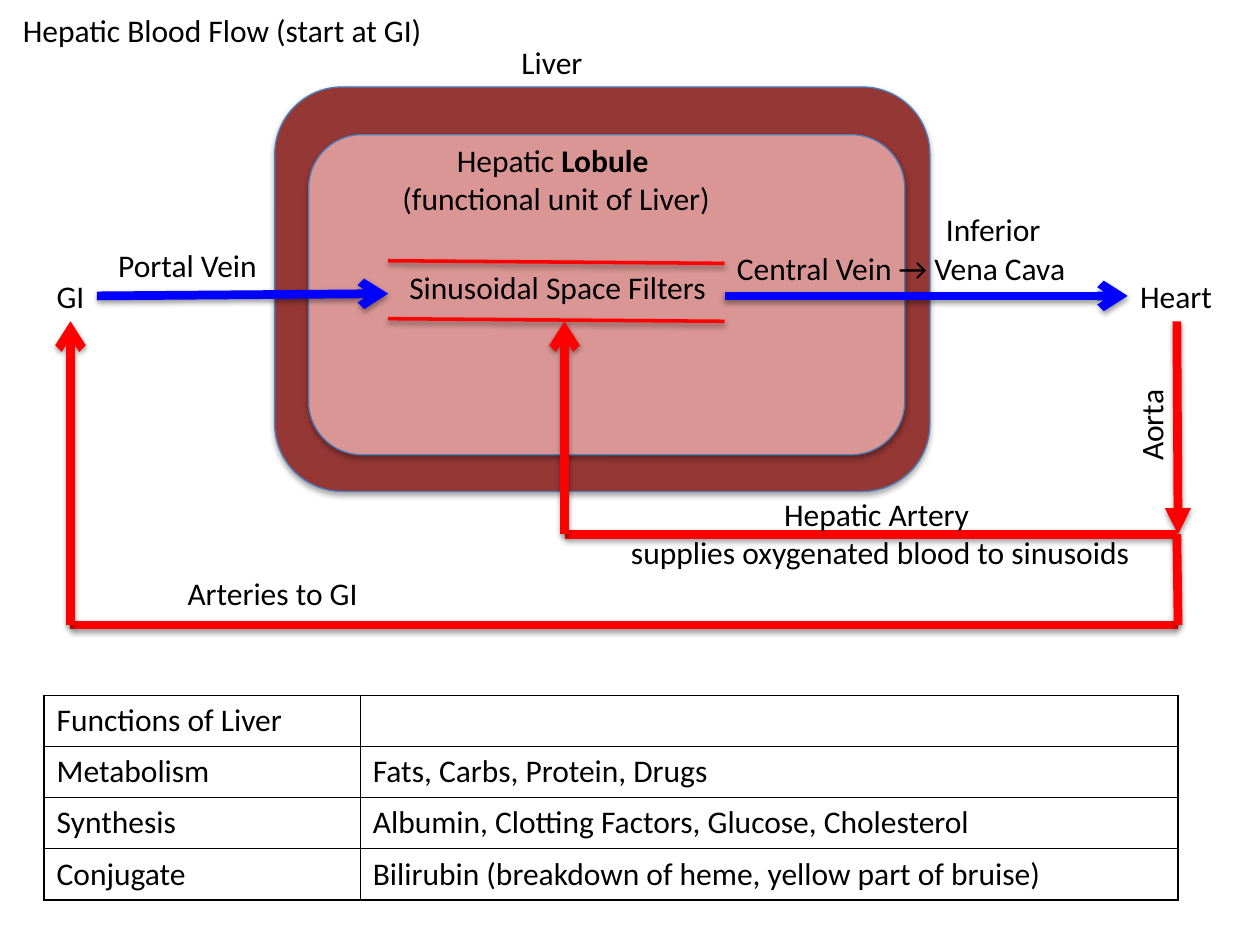
from dataclasses import dataclass

from lxml.etree import SubElement
from pptx import Presentation
from pptx.dml.color import RGBColor
from pptx.enum.shapes import MSO_CONNECTOR, MSO_SHAPE
from pptx.enum.text import MSO_ANCHOR, MSO_AUTO_SIZE, PP_ALIGN
from pptx.oxml.ns import qn
from pptx.util import Pt


@dataclass(frozen=True)
class Theme:
    font: str = "Calibri"
    text_size: float = 18
    text: str = "000000"
    liver: str = "953735"
    lobule: str = "D99694"
    outline: str = "4B7EBC"
    vein: str = "0000FF"
    artery: str = "FF0000"
    vessel_width: float = 5
    wall_width: float = 2
    outline_width: float = 0.75
    border_width: float = 1


def apply(target, values):
    for name, value in values.items():
        setattr(target, name, value)


def points(*values):
    return [Pt(value) for value in values]


class SlideBuilder:
    def __init__(self, slide, theme):
        self.slide = slide
        self.theme = theme
        self.font_format = {
            "name": theme.font,
            "size": Pt(theme.text_size),
        }
        self.frame_format = {
            "word_wrap": False,
            "auto_size": MSO_AUTO_SIZE.SHAPE_TO_FIT_TEXT,
            "vertical_anchor": MSO_ANCHOR.TOP,
        }

    def fill_text(self, frame, lines, align=PP_ALIGN.LEFT):
        for index, line in enumerate(lines):
            paragraph = frame.paragraphs[0] if index == 0 else frame.add_paragraph()
            paragraph.alignment = align
            for position, text in enumerate(line.split("**")):
                if text:
                    run = paragraph.add_run()
                    run.text = text
                    apply(run.font, {**self.font_format, "bold": position % 2 == 1})
                    run.font.color.rgb = RGBColor.from_string(self.theme.text)

    def title(self, text, left, top, width, height=29):
        shape = self.slide.shapes.title
        place = zip(("left", "top", "width", "height"), points(left, top, width, height))
        apply(shape, dict(place))
        apply(shape.text_frame, self.frame_format)
        self.fill_text(shape.text_frame, [text])

    def label(self, lines, left, top, width, rotation=0):
        height = 29 if len(lines) == 1 else 51
        shape = self.slide.shapes.add_textbox(*points(left, top, width, height))
        shape.rotation = rotation
        apply(shape.text_frame, self.frame_format)
        align = PP_ALIGN.LEFT if len(lines) == 1 else PP_ALIGN.CENTER
        self.fill_text(shape.text_frame, lines, align)
        return shape

    def shadow(self, shape, distance, opacity):
        properties = shape.element.spPr
        effects = properties.find(qn("a:effectLst"))
        if effects is None:
            effects = SubElement(properties, qn("a:effectLst"))
        outer = SubElement(effects, qn("a:outerShdw"), blurRad=str(Pt(3.1)),
                           dist=str(Pt(distance)), dir="5400000", rotWithShape="0")
        color = SubElement(outer, qn("a:srgbClr"), val="000000")
        SubElement(color, qn("a:alpha"), val=str(opacity * 1000))

    def rounded_box(self, fill, left, top, width, height):
        shape = self.slide.shapes.add_shape(
            MSO_SHAPE.ROUNDED_RECTANGLE, *points(left, top, width, height))
        shape.fill.solid()
        shape.fill.fore_color.rgb = RGBColor.from_string(fill)
        shape.line.color.rgb = RGBColor.from_string(self.theme.outline)
        shape.line.width = Pt(self.theme.outline_width)
        shape.shadow.inherit = False
        self.shadow(shape, 1.8, 35)

    def line(self, start, end, color, width, arrow=None, source=None, target=None):
        connector = self.slide.shapes.add_connector(
            MSO_CONNECTOR.STRAIGHT, *points(*start, *end))
        connector.line.color.rgb = RGBColor.from_string(color)
        connector.line.width = Pt(width)
        if arrow:
            SubElement(connector.element.spPr.find(qn("a:ln")), qn("a:tailEnd"), type=arrow)
        self.shadow(connector, 1.6, 38)
        if source:
            connector.begin_connect(*source)
        if target:
            connector.end_connect(*target)

    def table(self, rows, left, top, column_widths, row_height):
        shape = self.slide.shapes.add_table(
            len(rows), len(column_widths),
            *points(left, top, sum(column_widths), row_height * len(rows)))
        table = shape.table
        apply(table, {"first_row": False, "horz_banding": False})
        for column, width in zip(table.columns, column_widths):
            column.width = Pt(width)
        for row, texts in zip(table.rows, rows):
            row.height = Pt(row_height)
            for cell, text in zip(row.cells, texts):
                self.fill_text(cell.text_frame, [text])
                if not text:
                    apply(cell.text_frame.paragraphs[0].font, self.font_format)
                self.borders(cell)
                cell.fill.background()

    def borders(self, cell):
        properties = cell._tc.get_or_add_tcPr()
        for side in ("lnL", "lnR", "lnT", "lnB"):
            border = SubElement(properties, qn(f"a:{side}"), w=str(Pt(self.theme.border_width)))
            fill = SubElement(border, qn("a:solidFill"))
            SubElement(fill, qn("a:srgbClr"), val=self.theme.text)


def main():
    presentation = Presentation()
    apply(presentation, {"slide_width": Pt(720), "slide_height": Pt(540)})
    slide = presentation.slides.add_slide(presentation.slide_layouts[5])
    theme = Theme()
    builder = SlideBuilder(slide, theme)

    builder.title("Hepatic Blood Flow (start at GI)", 5.8, 2.9, 245.5)
    builder.rounded_box(theme.liver, 157, 49.7, 374.4, 231.1)
    builder.rounded_box(theme.lobule, 176.4, 77, 340.6, 182.9)
    gi = builder.label(["GI"], 25.2, 154.6, 30.2)
    heart = builder.label(["Heart"], 644.4, 154.6, 56.2)

    gi_x, sinusoid_x, heart_x, aorta_x = 40.3, 322.6, 672.5, 673.2
    space_left, space_right = 221.8, 414
    organ_bottom, hepatic_y, return_y = 183.6, 305.3, 357.1

    vein = {"color": theme.vein, "width": theme.vessel_width}
    artery = {"color": theme.artery, "width": theme.vessel_width}
    wall = {"color": theme.artery, "width": theme.wall_width}
    lines = [
        ((space_right, 169.1), (644.4, 169.1), {**vein, "arrow": "arrow", "target": (heart, 1)}),
        ((55.4, 169.1), (space_left, 167.8), {**vein, "arrow": "arrow", "source": (gi, 3)}),
        ((space_left, 149), (space_right, 150.5), wall),
        ((space_left, 182.1), (space_right, organ_bottom), wall),
        ((heart_x, organ_bottom), (aorta_x, hepatic_y),
         {**artery, "arrow": "triangle", "source": (heart, 2)}),
        ((heart_x, hepatic_y), (sinusoid_x, hepatic_y), artery),
        ((sinusoid_x, hepatic_y), (sinusoid_x, organ_bottom), {**artery, "arrow": "arrow"}),
        ((aorta_x, return_y), (gi_x, return_y), artery),
        ((heart_x, hepatic_y), (aorta_x, return_y), artery),
        ((gi_x, return_y), (gi_x, organ_bottom),
         {**artery, "arrow": "arrow", "target": (gi, 2)}),
    ]
    for start, end, style in lines:
        builder.line(start, end, **style)

    labels = [
        (["Liver"], 290.9, 20.9, 49.7),
        (["Hepatic **Lobule **", "(functional unit of Liver)"], 221.8, 77, 192.2),
        (["Portal Vein"], 60.5, 136.8, 95.8),
        (["Central Vein → Vena Cava"], 414, 139, 208.1),
        (["Sinusoidal Space Filters"], 226.8, 149.8, 186.5),
        (["Hepatic Artery ", "supplies oxygenated blood to sinusoids"], 351.4, 279.4, 303.1),
        (["Inferior"], 533.5, 116.6, 69.8),
        (["Aorta"], 630, 228.2, 55.4, 270),
        (["Arteries to GI"], 100.1, 324.7, 113),
    ]
    for label in labels:
        builder.label(*label)

    functions = [
        ("Functions of Liver", ""),
        ("Metabolism", "Fats, Carbs, Protein, Drugs"),
        ("Synthesis", "Albumin, Clotting Factors, Glucose, Cholesterol"),
        ("Conjugate", "Bilirubin (breakdown of heme, yellow part of bruise)"),
    ]
    builder.table(functions, 25.2, 397.4, (180.7, 467.3), 29.2)
    presentation.save("out.pptx")


if __name__ == "__main__":
    main()
